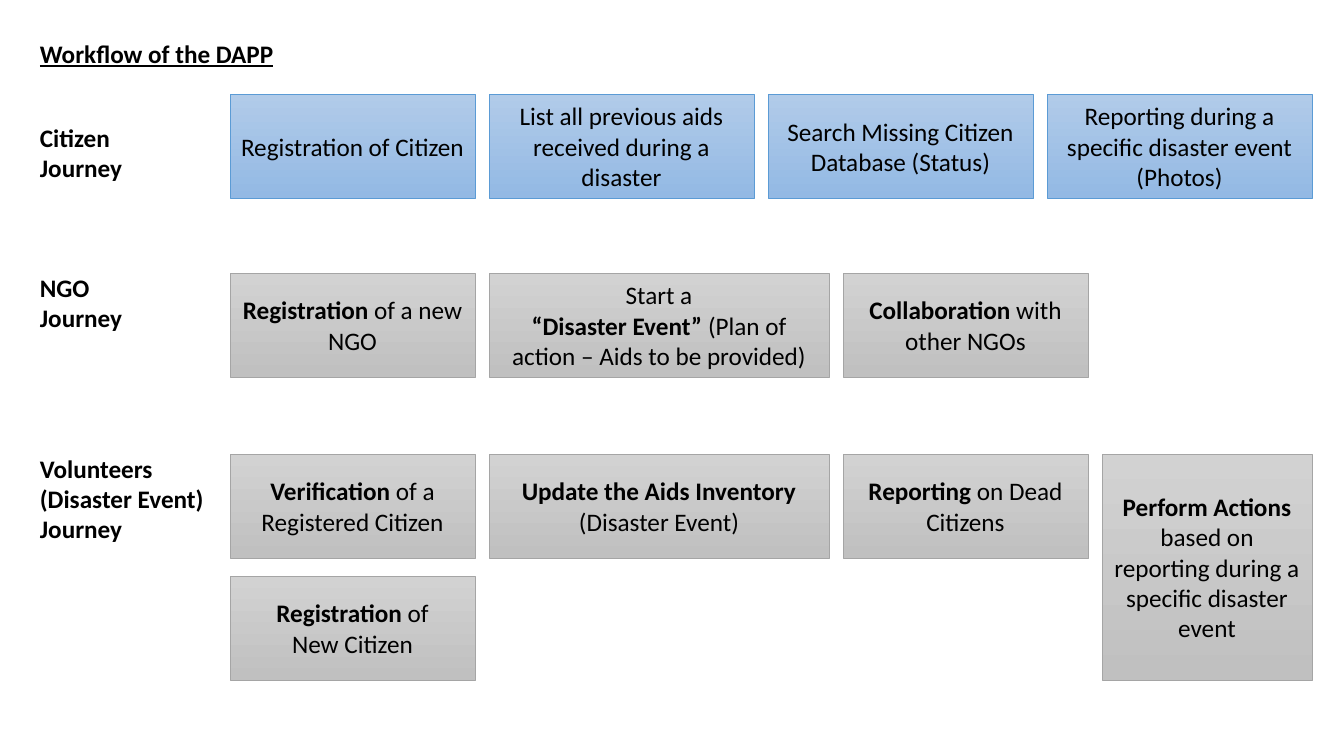
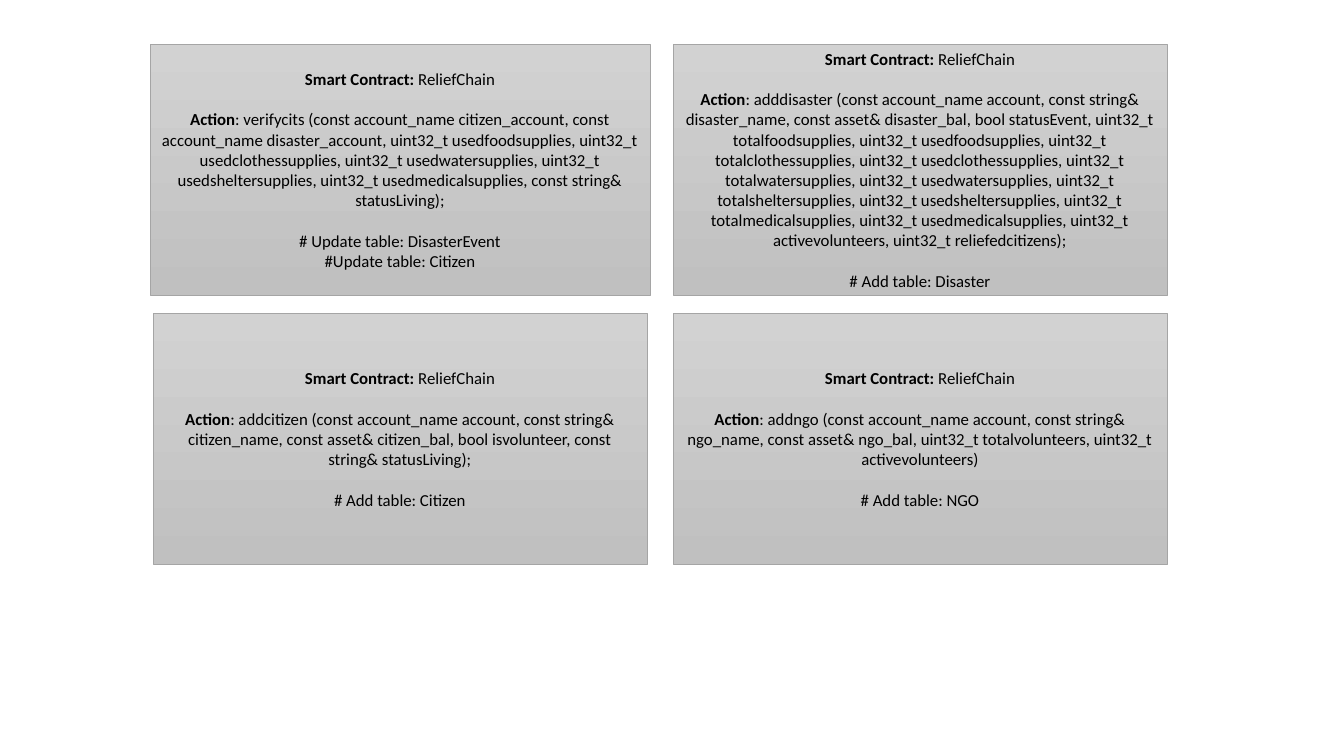
from dataclasses import dataclass

from pptx import Presentation
from pptx.dml.color import RGBColor
from pptx.enum.shapes import MSO_SHAPE
from pptx.enum.text import MSO_ANCHOR, MSO_AUTO_SIZE, PP_ALIGN
from pptx.util import Emu, Pt


@dataclass(frozen=True)
class Theme:
    """Colours, as (top, bottom, outline) for boxes, and type sizes."""
    font: str = "Calibri"
    ink: str = "000000"
    blue: tuple = ("B1CBE9", "93B9E4", "5B9BD5")
    gray: tuple = ("D2D2D2", "C0C0C0", "A5A5A5")
    body: int = 18
    code: int = 12
    code_gap: float = 14.65


THEME = Theme()
BLANK_LAYOUT = 6


def px(n):
    return Emu(round(n * 914400 / 100.8))


def write(tf, text, size=THEME.body, bold=False, underline=False,
          align=PP_ALIGN.LEFT, gap=0):
    """Fill a frame: ** toggles bold, an empty line sets gap points."""
    p = None
    for block in text.split("\n\n"):
        for i, line in enumerate(block.split("\n")):
            first = p is None
            p = tf.paragraphs[0] if first else tf.add_paragraph()
            p.alignment = align
            if i == 0 and not first:
                p.space_before = Pt(gap)
            for j, part in enumerate(line.split("**")):
                if not part:
                    continue
                r = p.add_run()
                r.text = part
                r.font.name = THEME.font
                r.font.size = Pt(size)
                r.font.bold = bold or j % 2 == 1
                r.font.underline = underline
                r.font.color.rgb = RGBColor.from_string(THEME.ink)


class Deck:
    def __init__(self, theme):
        self.theme = theme
        self.prs = Presentation()
        self.prs.slide_width, self.prs.slide_height = px(1344), px(756)
        self.s = None

    def slide(self):
        self.s = self.prs.slides.add_slide(
            self.prs.slide_layouts[BLANK_LAYOUT])

    def label(self, x, y, w, h, text, **fmt):
        tb = self.s.shapes.add_textbox(px(x), px(y), px(w), px(h))
        tf = tb.text_frame
        tf.word_wrap = True
        tf.auto_size = MSO_AUTO_SIZE.SHAPE_TO_FIT_TEXT
        write(tf, text, bold=True, **fmt)

    def box(self, x, y, w, h, text, colors, **fmt):
        sp = self.s.shapes.add_shape(
            MSO_SHAPE.RECTANGLE, px(x), px(y), px(w), px(h))
        sp.shadow.inherit = False
        top, bottom, outline = colors
        sp.fill.gradient()
        sp.fill.gradient_angle = 270
        for stop, color, pos in zip(sp.fill.gradient_stops, (top, bottom), (0, 1)):
            stop.color.rgb = RGBColor.from_string(color)
            stop.position = pos
        sp.line.color.rgb = RGBColor.from_string(outline)
        sp.line.width = Pt(0.5)
        tf = sp.text_frame
        tf.word_wrap = True
        tf.vertical_anchor = MSO_ANCHOR.MIDDLE
        write(tf, text, align=PP_ALIGN.CENTER, **fmt)

    def row(self, y, steps, colors, x=230, h=104, gap=14):
        """Lay steps (width, text[, height]) from left to right."""
        for w, text, *tall in steps:
            self.box(x, y, w, tall[0] if tall else h, text, colors)
            x += w + gap


# Workflow: label top, label height, row top, colours, steps
JOURNEYS = [
    (117, 72, "Citizen\nJourney", 94, THEME.blue, [
        (245, "Registration of Citizen"),
        (265, "List all previous aids received during a disaster"),
        (265, "Search Missing Citizen Database (Status)"),
        (265, "Reporting during a specific disaster event (Photos)"),
    ]),
    (267, 72, "NGO\nJourney", 273, THEME.gray, [
        (245, "**Registration** of a new NGO"),
        (340, "Start a\n**“Disaster Event”** (Plan of action – Aids to be provided)"),
        (245, "**Collaboration** with other NGOs"),
    ]),
    (448, 102, "Volunteers\n(Disaster Event)\nJourney", 454, THEME.gray, [
        (245, "**Verification** of a Registered Citizen"),
        (340, "**Update the Aids Inventory** (Disaster Event)"),
        (245, "**Reporting** on Dead Citizens"),
        (210, "**Perform Actions** based on reporting during a specific "
              "disaster event", 226),
    ]),
    ]

# Contract actions: left, top, width, signature, table notes
ACTIONS = [
    (150, 44, 500,
     "verifycits (const account_name citizen_account, const account_name "
     "disaster_account, uint32_t usedfoodsupplies, uint32_t "
     "usedclothessupplies, uint32_t usedwatersupplies, uint32_t "
     "usedsheltersupplies, uint32_t usedmedicalsupplies, const string& "
     "statusLiving);",
     "# Update table: DisasterEvent\n#Update table: Citizen"),
    (673, 44, 494,
     "adddisaster (const account_name account, const string& disaster_name, "
     "const asset& disaster_bal, bool statusEvent, uint32_t "
     "totalfoodsupplies, uint32_t usedfoodsupplies, uint32_t "
     "totalclothessupplies, uint32_t usedclothessupplies, uint32_t "
     "totalwatersupplies, uint32_t usedwatersupplies, uint32_t "
     "totalsheltersupplies, uint32_t usedsheltersupplies, uint32_t "
     "totalmedicalsupplies, uint32_t usedmedicalsupplies, uint32_t "
     "activevolunteers, uint32_t reliefedcitizens);",
     "# Add table: Disaster"),
    (153, 313, 494,
     "addcitizen (const account_name account, const string& citizen_name, "
     "const asset& citizen_bal, bool isvolunteer, const string& "
     "statusLiving);",
     "# Add table: Citizen"),
    (673, 313, 494,
     "addngo (const account_name account, const string& ngo_name, const "
     "asset& ngo_bal, uint32_t totalvolunteers, uint32_t activevolunteers)",
     "# Add table: NGO"),
]


def workflow(deck):
    deck.slide()
    deck.label(30, 33, 690, 40, "Workflow of the DAPP", underline=True)
    for label_y, label_h, name, y, colors, steps in JOURNEYS:
        deck.label(30, label_y, 200, label_h, name)
        deck.row(y, steps, colors)
    # Second row of the volunteers' journey
    deck.row(576, [(245, "**Registration** of\nNew Citizen")], THEME.gray)


def contracts(deck):
    deck.slide()
    for x, y, w, signature, notes in ACTIONS:
        text = (f"**Smart Contract:** ReliefChain\n\n"
                f"**Action**: {signature}\n\n{notes}")
        deck.box(x, y, w, 251, text, THEME.gray,
                 size=THEME.code, gap=THEME.code_gap)


def main():
    deck = Deck(THEME)
    workflow(deck)
    contracts(deck)
    deck.prs.save("out.pptx")


if __name__ == "__main__":
    main()
